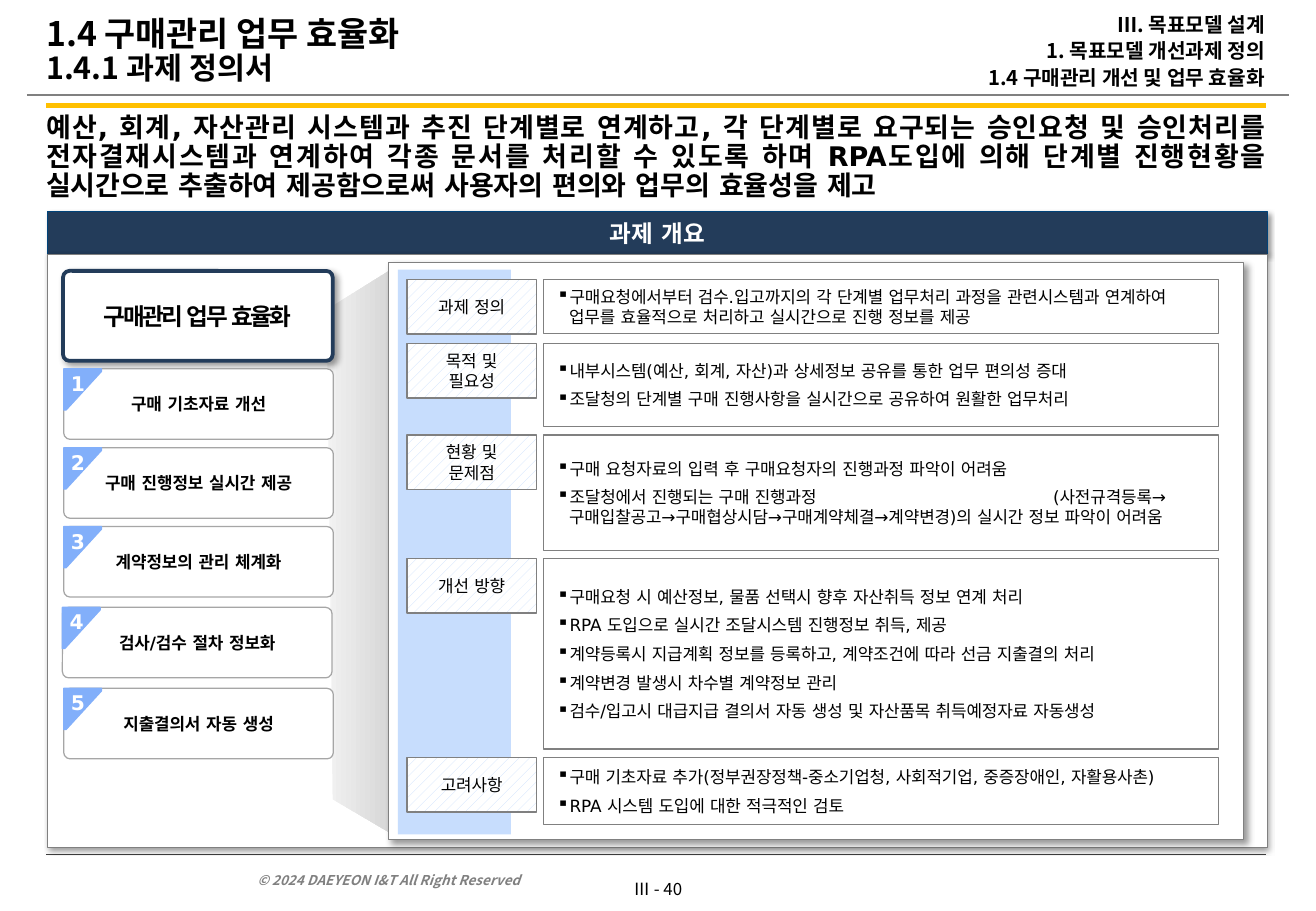
from dataclasses import dataclass

from lxml.etree import SubElement
from pptx import Presentation
from pptx.dml.color import RGBColor
from pptx.enum.dml import MSO_PATTERN
from pptx.enum.shapes import MSO_CONNECTOR, MSO_SHAPE
from pptx.enum.text import MSO_ANCHOR, PP_ALIGN
from pptx.oxml.ns import qn
from pptx.util import Pt

BLACK = RGBColor(0x00, 0x00, 0x00)
WHITE = RGBColor(0xFF, 0xFF, 0xFF)
NAVY = RGBColor(0x23, 0x3C, 0x5A)
DEEP_BLUE = RGBColor(0x00, 0x43, 0x7A)
BLUE = RGBColor(0x82, 0xAF, 0xFA)
PALE_BLUE = RGBColor(0xC7, 0xDD, 0xFD)
YELLOW = RGBColor(0xFF, 0xC0, 0x00)
DARK_GRAY = RGBColor(0x40, 0x40, 0x40)
GRAY = RGBColor(0x80, 0x80, 0x80)
MID_GRAY = RGBColor(0xA6, 0xA6, 0xA6)
SILVER = RGBColor(0xD9, 0xD9, 0xD9)
PALE_GRAY = RGBColor(0xF2, 0xF2, 0xF2)

DEJAVU = "DejaVu Sans"
NOTO = "Noto Sans CJK KR"
BOX_INSETS = (7.9, 3.6, 7.9, 3.6)


@dataclass
class Style:
    size: float
    font: str = DEJAVU
    color: RGBColor = BLACK
    bold: bool = False
    italic: bool = False
    align: PP_ALIGN = PP_ALIGN.LEFT
    line_spacing: float = 1.0
    space_before: float = 0
    tracking: float = 0
    bullet: bool = False


@dataclass
class Task:
    title: str
    left: float
    top: float


@dataclass
class Section:
    label: str
    top: float
    height: float
    lines: list[str]


TASKS = [
    Task("구매 기초자료 개선", 37.8, 218.6),
    Task("구매 진행정보 실시간 제공", 37.8, 265.4),
    Task("계약정보의 관리 체계화", 37.8, 312.1),
    Task("검사/검수 절차 정보화", 37, 360),
    Task("지출결의서 자동 생성", 37.8, 408),
]

SECTIONS = [
    Section("과제 정의", 165.6, 32.2, [
        "구매요청에서부터 검수.입고까지의 각 단계별 업무처리 과정을 관련시스템과 연계하여 "
        "업무를 효율적으로 처리하고 실시간으로 진행 정보를 제공"]),
    Section("목적 및 필요성", 203.6, 49.1, [
        "내부시스템(예산, 회계, 자산)과 상세정보 공유를 통한 업무 편의성 증대",
        "조달청의 단계별 구매 진행사항을 실시간으로 공유하여 원활한 업무처리"]),
    Section("현황 및 문제점", 257.8, 68.6, [
        "구매 요청자료의 입력 후 구매요청자의 진행과정 파악이 어려움",
        "조달청에서 진행되는 구매 진행과정\t(사전규격등록→구매입찰공고→구매협상시담→"
        "구매계약체결→계약변경)의 실시간 정보 파악이 어려움"]),
    Section("개선 방향", 331, 113, [
        "구매요청 시 예산정보, 물품 선택시 향후 자산취득 정보 연계 처리",
        "RPA 도입으로 실시간 조달시스템 진행정보 취득, 제공",
        "계약등록시 지급계획 정보를 등록하고, 계약조건에 따라 선금 지출결의 처리",
        "계약변경 발생시 차수별 계약정보 관리",
        "검수/입고시 대급지급 결의서 자동 생성 및 자산품목 취득예정자료 자동생성"]),
    Section("고려사항", 449, 39.8, [
        "구매 기초자료 추가(정부권장정책-중소기업청, 사회적기업, 중증장애인, 자활용사촌)",
        "RPA 시스템 도입에 대한 적극적인 검토"]),
]


def add_bullet(paragraph) -> None:
    """Give a paragraph a hanging square bullet and the tab stop for its gap."""
    properties = paragraph._p.get_or_add_pPr()
    properties.set("marL", str(Pt(7.2)))
    properties.set("indent", str(Pt(-7.2)))
    SubElement(properties, qn("a:buChar"), char="▪")
    tabs = SubElement(properties, qn("a:tabLst"))
    SubElement(tabs, qn("a:tab"), pos=str(Pt(294)), algn="l")


def add_run(paragraph, text: str, style: Style) -> None:
    run = paragraph.add_run()
    run.text = text
    font = run.font
    font.name, font.size = style.font, Pt(style.size)
    font.bold, font.italic = style.bold, style.italic
    font.color.rgb = style.color
    properties = run._r.get_or_add_rPr()
    SubElement(properties, qn("a:ea"), typeface=style.font)
    if style.tracking:
        properties.set("spc", str(int(style.tracking * 100)))


def write(shape, lines: list[str], style: Style, insets=BOX_INSETS,
          anchor=MSO_ANCHOR.MIDDLE, wrap: bool = True) -> None:
    frame = shape.text_frame
    frame.word_wrap, frame.vertical_anchor = wrap, anchor
    (frame.margin_left, frame.margin_top,
     frame.margin_right, frame.margin_bottom) = map(Pt, insets)
    for index, line in enumerate(lines):
        paragraph = frame.add_paragraph() if index else frame.paragraphs[0]
        if style.bullet:
            add_bullet(paragraph)
        paragraph.alignment = style.align
        paragraph.line_spacing = style.line_spacing
        paragraph.space_before = Pt(style.space_before if index else 0)
        add_run(paragraph, line, style)


def add_label(slide, left: float, top: float, width: float, height: float):
    return slide.shapes.add_textbox(Pt(left), Pt(top), Pt(width), Pt(height))


def paint(shape, fill: RGBColor, line: RGBColor | None, weight: float) -> None:
    shape.shadow.inherit = False
    shape.fill.solid()
    shape.fill.fore_color.rgb = fill
    if line is None:
        shape.line.fill.background()
    else:
        shape.line.color.rgb = line
        shape.line.width = Pt(weight)


def add_box(slide, left: float, top: float, width: float, height: float,
            fill: RGBColor = WHITE, line: RGBColor | None = GRAY,
            weight: float = 0.75, corner: float = 0):
    kind = MSO_SHAPE.ROUNDED_RECTANGLE if corner else MSO_SHAPE.RECTANGLE
    box = slide.shapes.add_shape(kind, Pt(left), Pt(top), Pt(width), Pt(height))
    if corner:
        box.adjustments[0] = corner
    paint(box, fill, line, weight)
    return box


def cast_shadow(shape, blur: float, distance: float) -> None:
    effects = shape._element.spPr.find(qn("a:effectLst"))
    shadow = SubElement(effects, qn("a:outerShdw"), blurRad=str(Pt(blur)),
                        dist=str(Pt(distance)), dir="2700000", algn="tl", rotWithShape="0")
    color = SubElement(shadow, qn("a:srgbClr"), val="000000")
    SubElement(color, qn("a:alpha"), val="40000")


def add_rule(slide, left: float, right: float, y: float, color: RGBColor, weight: float) -> None:
    rule = slide.shapes.add_connector(MSO_CONNECTOR.STRAIGHT, Pt(left), Pt(y), Pt(right), Pt(y))
    rule.line.color.rgb, rule.line.width = color, Pt(weight)
    SubElement(rule._element.spPr, qn("a:effectLst"))


def add_outline(slide, points: list[tuple[float, float]]):
    (x, y), *others = [(Pt(x), Pt(y)) for x, y in points]
    builder = slide.shapes.build_freeform(x, y)
    builder.add_line_segments(others, close=True)
    return builder.convert_to_shape()


def add_heading(slide) -> None:
    add_rule(slide, 16, 764, 56.3, GRAY, 1.5)
    add_rule(slide, 27.4, 750.2, 62.6, YELLOW, 2.5)
    title = add_label(slide, 27.4, 0, 460, 61.2)
    write(title, ["1.4 구매관리 업무 효율화"], Style(20, NOTO, bold=True, line_spacing=0.9), (0, 0, 0, 0))
    first_line = title.text_frame.paragraphs[0]
    first_line.add_line_break()
    add_run(first_line, "1.4.1 과제 정의서", Style(18, NOTO, bold=True))
    write(add_label(slide, 494.6, 0, 255.2, 61.9),
          ["Ⅲ. 목표모델 설계", "1. 목표모델 개선과제 정의", "1.4 구매관리 개선 및 업무 효율화"],
          Style(12, NOTO, bold=True, align=PP_ALIGN.RIGHT, line_spacing=0.9, space_before=2.9),
          (0, 3.6, 0, 3.6))
    write(add_label(slide, 27.4, 67.7, 722.9, 49),
          ["예산, 회계, 자산관리 시스템과 추진 단계별로 연계하고, 각 단계별로 요구되는 승인요청 및 "
           "승인처리를 전자결재시스템과 연계하여 각종 문서를 처리할 수 있도록 하며 RPA도입에 의해 "
           "단계별 진행현황을 실시간으로 추출하여 제공함으로써 사용자의 편의와 업무의 효율성을 제고"],
          Style(16, bold=True, align=PP_ALIGN.JUSTIFY, line_spacing=0.9), (0, 0, 0, 0), MSO_ANCHOR.TOP)


def add_footer(slide) -> None:
    add_rule(slide, 27.4, 750.2, 506.2, DARK_GRAY, 0.5)
    write(add_label(slide, 368.6, 517, 42.5, 19.4), ["Ⅲ - 40"],
          Style(10, NOTO, align=PP_ALIGN.CENTER), (4.3, 3.6, 4.3, 3.6), MSO_ANCHOR.TOP, False)
    write(add_label(slide, 145.4, 510.5, 217.4, 19.4), ["© 2024 DAEYEON I&T All Right Reserved"],
          Style(8, NOTO, GRAY, bold=True, italic=True), (7.2, 3.6, 7.2, 3.6), MSO_ANCHOR.BOTTOM)


def add_overview_frame(slide) -> None:
    banner = add_box(slide, 28.1, 125.3, 722.9, 25.4, NAVY, DEEP_BLUE, 0.5)
    cast_shadow(banner, 3, 2)
    write(banner, ["과제 개요"], Style(14, color=WHITE, bold=True, align=PP_ALIGN.CENTER))
    cast_shadow(add_box(slide, 28.1, 151, 722.9, 351.4, weight=0.5), 3, 2)

    funnel = add_outline(slide, [(193.7, 183.6), (197.3, 473.8), (235.4, 496.1), (235.4, 157.7)])
    paint(funnel, PALE_GRAY, None, 0)
    funnel.fill.gradient()
    funnel.fill.gradient_angle = 0
    for stop, color, position in zip(funnel.fill.gradient_stops, (PALE_GRAY, SILVER), (0, 0.82)):
        stop.color.rgb, stop.position = color, position

    theme = add_box(slide, 37.4, 160.6, 159.8, 53.3, WHITE, NAVY, 2.25, 0.07)
    cast_shadow(theme, 4, 3)
    write(theme, ["구매관리 업무 효율화"],
          Style(14, bold=True, align=PP_ALIGN.CENTER, line_spacing=1.05, tracking=-1.5))


def add_task(slide, number: int, task: Task) -> None:
    left, top = task.left, task.top
    card = add_box(slide, left, top, 159.8, 41.8, WHITE, MID_GRAY, corner=0.09)
    write(card, [task.title], Style(10, bold=True, align=PP_ALIGN.CENTER))
    corner = add_outline(slide, [(left, top), (left + 22.4, top), (left + 22.4, top + 1.6),
                                 (left + 1.4, top + 24.5), (left, top + 24.5)])
    paint(corner, BLUE, BLUE, 0.75)
    write(corner, [str(number)], Style(12, color=WHITE, bold=True), (4.3, 1.4, 1.4, 3.6), MSO_ANCHOR.TOP)


def add_section(slide, section: Section) -> None:
    tag = add_box(slide, 241.2, section.top, 76.7, 32.4)
    tag.fill.patterned()
    tag.fill.pattern = MSO_PATTERN.PERCENT_20
    tag.fill.fore_color.rgb, tag.fill.back_color.rgb = PALE_BLUE, WHITE
    write(tag, [section.label], Style(10, align=PP_ALIGN.CENTER))
    detail = add_box(slide, 322.2, section.top, 400, section.height)
    write(detail, section.lines, Style(10, space_before=5, bullet=True))


def main() -> None:
    deck = Presentation()
    deck.slide_width, deck.slide_height = Pt(780), Pt(540)
    slide = deck.slides.add_slide(deck.slide_layouts[6])
    add_heading(slide)
    add_footer(slide)
    add_overview_frame(slide)
    for number, task in enumerate(TASKS, 1):
        add_task(slide, number, task)
    cast_shadow(add_box(slide, 230.4, 155.5, 506.9, 342), 4, 3)
    add_box(slide, 235.8, 159.8, 67, 334.8, PALE_BLUE, None)
    for section in SECTIONS:
        add_section(slide, section)
    deck.save("out.pptx")


if __name__ == "__main__":
    main()
